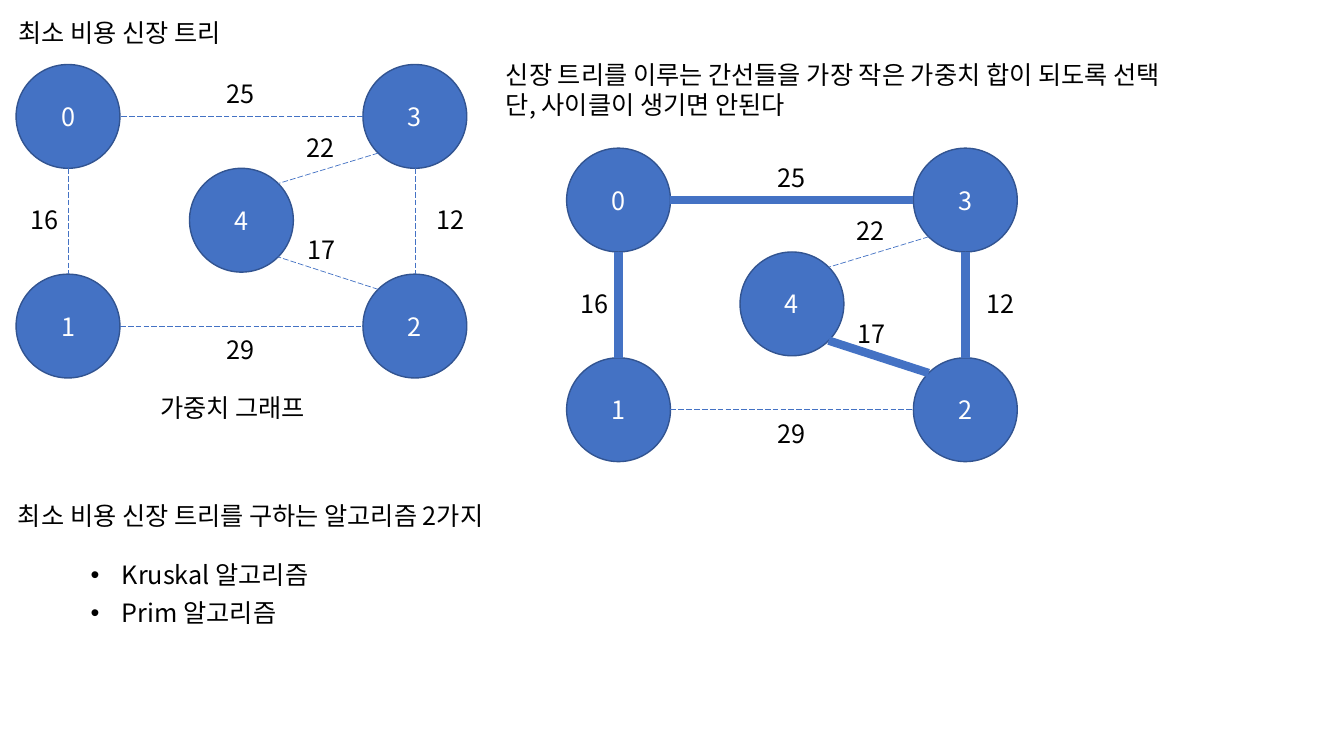
from lxml import etree
from pptx import Presentation
from pptx.dml.color import RGBColor
from pptx.enum import dml, shapes, text
from pptx.oxml.ns import qn
from pptx.util import Inches, Pt

FONT = "Noto Sans CJK KR"
COLORS = {"node": "4472C4", "outline": "325491", "light": "FFFFFF", "dark": "000000"}

TITLE = ("최소 비용 신장 트리", 0.08, 0.12, 2.49, 0.4)
NOTES = [
    (["가중치 그래프"], 1.49, 3.84, 1.81, 0.4),
    (["신장 트리를 이루는 간선들을 가장 작은 가중치 합이 되도록 선택",
      "단, 사이클이 생기면 안된다"], 4.92, 0.54, 7.57, 0.71),
    (["최소 비용 신장 트리를 구하는 알고리즘 2가지"], 0.08, 4.91, 5.42, 0.4),
]
ALGORITHMS = [("Kruskal 알고리즘", 2.43), ("Prim 알고리즘", 2.13)]
ALGORITHM_LEFT, ALGORITHM_TOP, ALGORITHM_STEP = 0.8, 5.5, 0.38

# Node positions and weight labels are offsets from the graph's top left corner.
DIAMETER = 1.03
NODES = {0: (0, 0), 1: (0, 2.08), 2: (3.44, 2.08), 3: (3.44, 0), 4: (1.72, 1.03)}
EDGES = [  # start, end, weight, label offset
    (3, 4, 22, (2.78, 0.62)),
    (0, 1, 16, (0.04, 1.34)),
    (3, 2, 12, (4.07, 1.34)),
    (1, 2, 29, (1.99, 2.63)),
    (3, 0, 25, (1.99, 0.09)),
    (2, 4, 17, (2.79, 1.64)),
]
GRAPHS = [  # left, top, edges in the spanning tree
    (0.16, 0.64, set()),
    (5.62, 1.47, {(0, 1), (3, 2), (3, 0), (2, 4)}),
]


def rgb(name):
    """Return a palette colour."""
    return RGBColor.from_string(COLORS[name])


def style_text(tf, color="dark", align=text.PP_ALIGN.LEFT):
    """Give every paragraph the slide's font, size, colour and alignment."""
    for p in tf.paragraphs:
        p.alignment = align
        for r in p.runs:
            r.font.size, r.font.name = Pt(18), FONT
            r.font.color.rgb = rgb(color)
            ea = etree.SubElement(r._r.get_or_add_rPr(), qn("a:ea"))
            ea.set("typeface", FONT)


def add_text(s, lines, left, top, width, height):
    """Add an unwrapped text box with one paragraph per line."""
    box = s.shapes.add_textbox(*map(Inches, (left, top, width, height)))
    tf = box.text_frame
    tf.text = "\n".join(lines)
    tf.word_wrap = False
    style_text(tf)
    return tf


def add_bullet(p):
    """Turn a paragraph into a bulleted item with a hanging indent."""
    pPr = p._p.get_or_add_pPr()
    pPr.set("marL", str(Inches(0.31)))
    pPr.set("indent", str(-Inches(0.31)))
    etree.SubElement(pPr, qn("a:buFont")).set("typeface", "Arial")
    etree.SubElement(pPr, qn("a:buChar")).set("char", "•")


def rim_point(node, other):
    """Return the point on a node's rim, in 45 degree steps, facing another."""
    (x, y), (ox, oy) = NODES[node], NODES[other]
    dx, dy = (ox > x) - (ox < x), (oy > y) - (oy < y)
    r = DIAMETER / 2
    reach = r / (dx * dx + dy * dy) ** 0.5
    return x + r + dx * reach, y + r + dy * reach


def add_edge(s, left, top, start, end, in_tree):
    """Draw an edge: thick if it is in the tree, thin and dashed if not."""
    (x1, y1), (x2, y2) = rim_point(start, end), rim_point(end, start)
    points = left + x1, top + y1, left + x2, top + y2
    line = s.shapes.add_connector(shapes.MSO_CONNECTOR.STRAIGHT, *map(Inches, points))
    line.line.color.rgb = rgb("node")
    line.line.width = Pt(6 if in_tree else 0.5)
    if not in_tree:
        line.line.dash_style = dml.MSO_LINE.LONG_DASH
    etree.SubElement(line._element.spPr, qn("a:effectLst"))


def add_node(s, left, top, number):
    """Draw a numbered node."""
    x, y = NODES[number]
    sp = s.shapes.add_shape(shapes.MSO_SHAPE.OVAL, Inches(left + x), Inches(top + y),
                            Inches(DIAMETER), Inches(DIAMETER))
    sp.shadow.inherit = False
    sp.fill.solid()
    sp.fill.fore_color.rgb = rgb("node")
    sp.line.color.rgb = rgb("outline")
    sp.line.width = Pt(1)
    tf = sp.text_frame
    tf.text = str(number)
    tf.vertical_anchor = text.MSO_ANCHOR.MIDDLE
    style_text(tf, "light", text.PP_ALIGN.CENTER)


def add_graph(s, left, top, tree):
    """Draw the weighted graph with its spanning tree edges emphasised."""
    for number in NODES:
        add_node(s, left, top, number)
    for start, end, weight, (x, y) in EDGES:
        add_edge(s, left, top, start, end, (start, end) in tree)
        add_text(s, [str(weight)], left + x, top + y, 0.48, 0.4)


def set_title(s, words, left, top, width, height):
    """Place and format the title placeholder."""
    title = s.shapes.title
    title.left, title.top, title.width, title.height = map(Inches, (left, top, width, height))
    tf = title.text_frame
    tf.text = words
    tf.word_wrap = False
    tf.auto_size = text.MSO_AUTO_SIZE.NONE
    tf.vertical_anchor = text.MSO_ANCHOR.TOP
    style_text(tf)


prs = Presentation()
prs.slide_width, prs.slide_height = Inches(13.33), Inches(7.5)
s = prs.slides.add_slide(prs.slide_layouts[5])
set_title(s, *TITLE)
for graph in GRAPHS:
    add_graph(s, *graph)
for note in NOTES:
    add_text(s, *note)
for i, (name, width) in enumerate(ALGORITHMS):
    tf = add_text(s, [name], ALGORITHM_LEFT, ALGORITHM_TOP + i * ALGORITHM_STEP, width, 0.4)
    add_bullet(tf.paragraphs[0])
prs.save("out.pptx")
